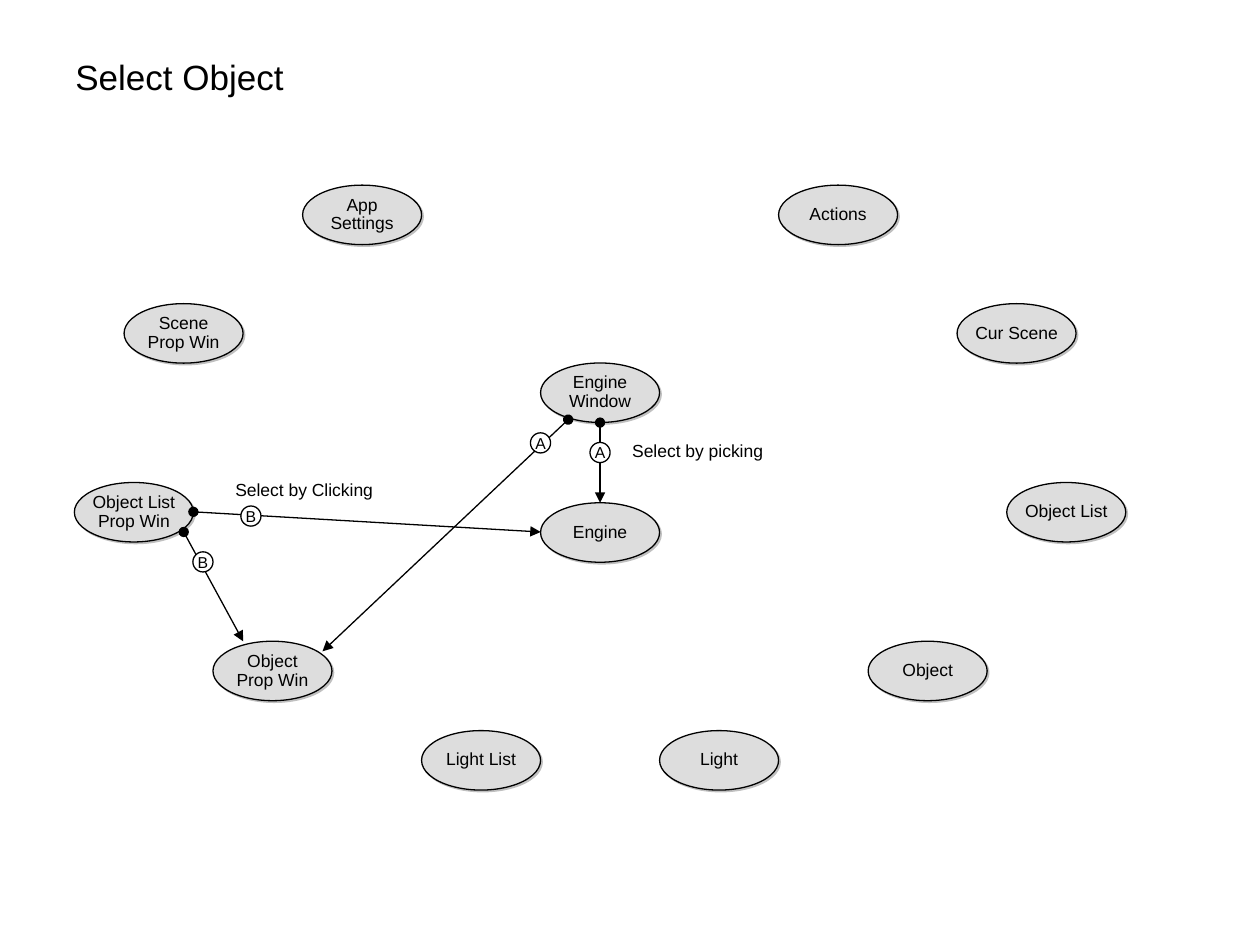
from pptx import Presentation
from pptx.dml.color import RGBColor
from pptx.enum.shapes import MSO_CONNECTOR, MSO_SHAPE
from pptx.enum.text import MSO_ANCHOR, PP_ALIGN
from pptx.oxml import parse_xml
from pptx.oxml.ns import nsdecls
from pptx.util import Pt

NODE_W, NODE_H = 68, 34
BADGE = 11.5

# Mirrored pairs: left text, right text, distance from the axis, centre height
PAIRS = [
    ("App\vSettings", "Actions", 136, 17),
    ("Scene\vProp Win", "Cur Scene", 238, 84.7),
    ("Object List\vProp Win", "Object List", 266.4, 186.9),
    ("Object\vProp Win", "Object", 187.2, 277.6),
    ("Light List", "Light", 68, 328.7),
]
# Nodes on the axis: text, centre height
CORE = [("Engine\vWindow", 118.6), ("Engine", 198.5)]
# Flows: letter, start, end, badge centre
FLOWS = [
    ("A", (300.4, 135.7), (300.4, 181.5), (300.4, 152.8)),
    ("B", (68, 186.7), (266.5, 198.2), (100.9, 189.1)),
    ("B", (62.5, 198.2), (96.5, 260.7), (73.5, 215.3)),
    ("A", (282.2, 134), (141.8, 266.4), (266.4, 147.3)),
]
# Labels: text, left, top, width
LABELS = [
    ("Select by picking", 311.7, 141.9, 89.3),
    ("Select by Clicking", 84.9, 164.2, 92.9),
]


def color(code):
    return RGBColor.from_string(code)


def write(shape, text, size, align=PP_ALIGN.LEFT, wrap=False):
    frame = shape.text_frame
    frame.word_wrap = wrap
    frame.text = text
    para = frame.paragraphs[0]
    para.alignment = align
    for run in para.runs:
        run.font.size = Pt(size)
        run.font.name = "Arial"
        run.font.color.rgb = color("000000")
    return para


def label(slide, text, left, top, width, height, size, wrap=False):
    box = slide.shapes.add_textbox(Pt(left), Pt(top), Pt(width), Pt(height))
    write(box, text, size, wrap=wrap)
    return box


def oval(slide, text, x, y, width, height, fill, size):
    """Draw an ellipse centred on x, y."""
    shape = slide.shapes.add_shape(
        MSO_SHAPE.OVAL, Pt(x - width / 2), Pt(y - height / 2), Pt(width), Pt(height))
    shape.shadow.inherit = False
    shape.fill.solid()
    shape.fill.fore_color.rgb = color(fill)
    shape.line.color.rgb = color("000000")
    shape.line.width = Pt(0.75)
    shape.text_frame.vertical_anchor = MSO_ANCHOR.MIDDLE
    para = write(shape, text, size, PP_ALIGN.CENTER)
    return shape, para


def node(slide, text, x, y):
    shape, para = oval(slide, text, x, y, NODE_W, NODE_H, "DDDDDD", 10)
    para.line_spacing = 0.9
    # Hard grey shadow to the lower right
    shape.element.spPr.find(".//{*}effectLst").append(parse_xml(
        f'<a:outerShdw {nsdecls("a")} dist="{Pt(1.4)}" dir="2700000" algn="ctr" '
        'rotWithShape="0"><a:srgbClr val="C0C0C0"/></a:outerShdw>'))


def arrow(slide, start, end):
    line = slide.shapes.add_connector(
        MSO_CONNECTOR.STRAIGHT, *(Pt(v) for v in (*start, *end)))
    line.line.color.rgb = color("000000")
    line.line.width = Pt(0.75)
    # Dot at the start, triangle at the end, no shadow
    stroke = line.line._get_or_add_ln()
    for tag, kind in (("headEnd", "oval"), ("tailEnd", "triangle")):
        stroke.append(parse_xml(f'<a:{tag} {nsdecls("a")} type="{kind}"/>'))
    line.element.spPr.append(parse_xml(f'<a:effectLst {nsdecls("a")}/>'))


def header(slide, left, top, width, height):
    box = label(slide, "Select Object", left, top, width, height, 20, wrap=True)
    box.text_frame.vertical_anchor = MSO_ANCHOR.MIDDLE


def nodes(slide, left, top, width):
    axis = left + width / 2
    for west, east, gap, y in PAIRS:
        node(slide, west, axis - gap, top + y)
        node(slide, east, axis + gap, top + y)
    for text, y in CORE:
        node(slide, text, axis, top + y)


def flows(slide, left, top):
    def place(point):
        return left + point[0], top + point[1]

    for letter, start, end, spot in FLOWS:
        arrow(slide, place(start), place(end))
        oval(slide, letter, *place(spot), BADGE, BADGE, "FFFFFF", 9)
    for text, x, y, width in LABELS:
        label(slide, text, left + x, top + y, width, 19.4, 10)


def main():
    deck = Presentation()
    deck.slide_width, deck.slide_height = Pt(720), Pt(540)
    slide = deck.slides.add_slide(deck.slide_layouts[6])
    header(slide, 36, 21.6, 648, 44)
    nodes(slide, 42.5, 105.8, 600.8)
    flows(slide, 42.5, 105.8)
    deck.save("out.pptx")


if __name__ == "__main__":
    main()
